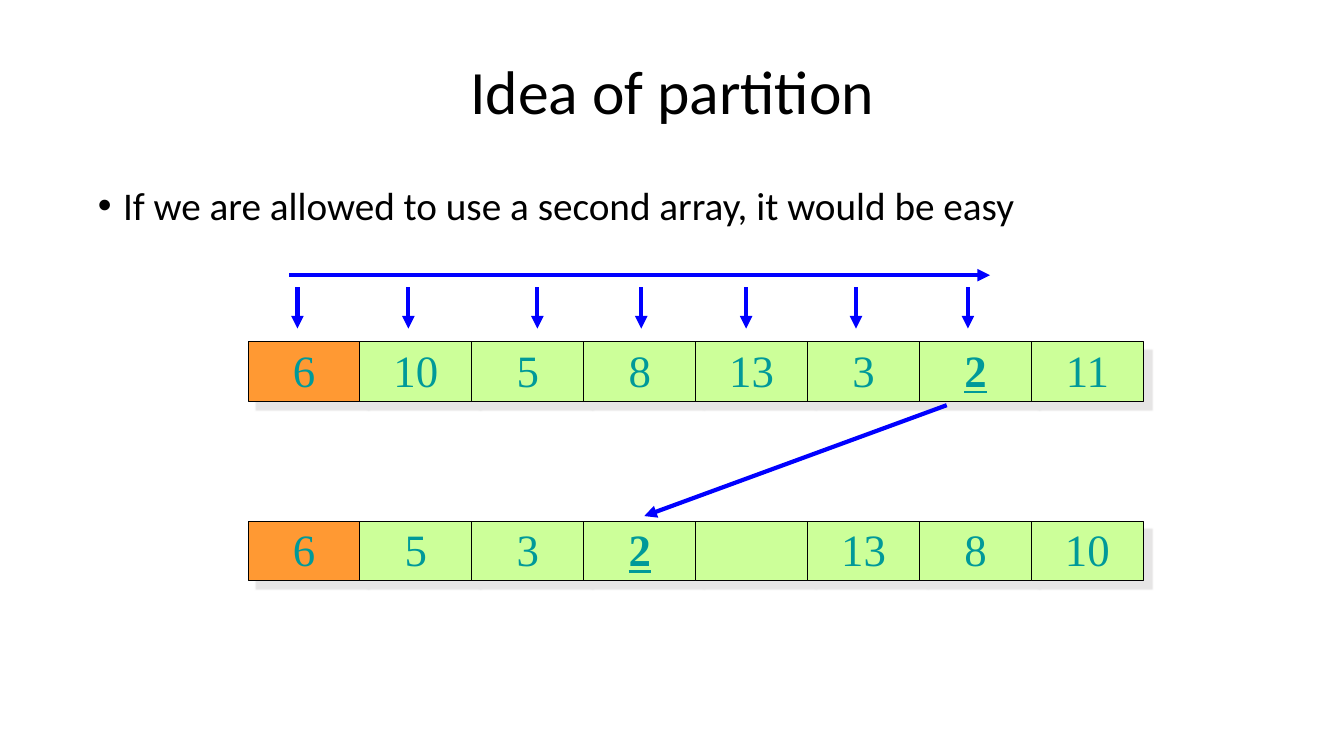
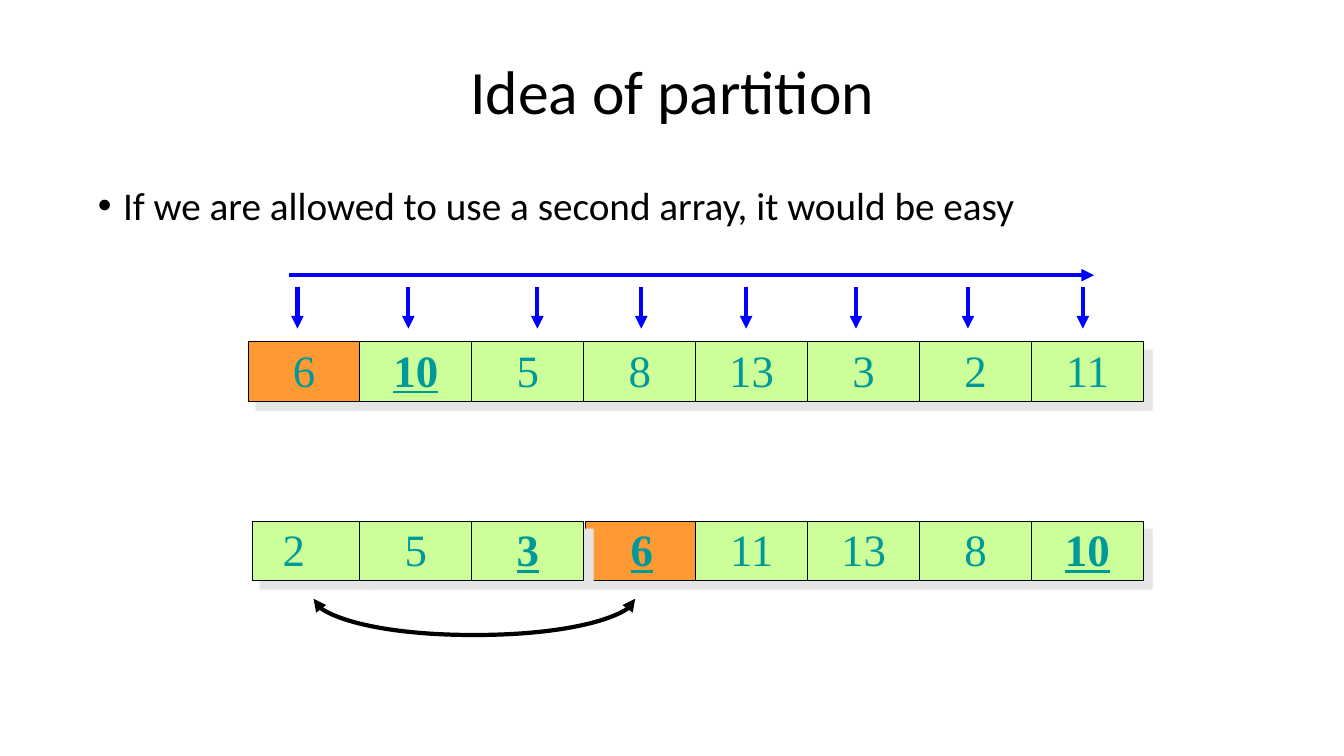
"""Build two slides on partitioning with a second array."""
from dataclasses import dataclass
from typing import Any

from lxml import etree
from pptx import Presentation
from pptx.dml.color import RGBColor
from pptx.enum.shapes import MSO_CONNECTOR, MSO_SHAPE
from pptx.enum.text import MSO_ANCHOR, MSO_AUTO_SIZE, PP_ALIGN
from pptx.oxml import parse_xml
from pptx.oxml.ns import nsdecls, qn
from pptx.util import Inches, Pt

LINE = MSO_CONNECTOR.STRAIGHT
RECT = MSO_SHAPE.RECTANGLE
TOP, MIDDLE, BOTTOM = MSO_ANCHOR.TOP, MSO_ANCHOR.MIDDLE, MSO_ANCHOR.BOTTOM
FIXED = MSO_AUTO_SIZE.NONE
LEFT, CENTER = PP_ALIGN.LEFT, PP_ALIGN.CENTER

BLACK = RGBColor(0x00, 0x00, 0x00)
BLUE = RGBColor(0x00, 0x00, 0xFF)
TEAL = RGBColor(0x00, 0x99, 0x99)
GREEN = RGBColor(0xCC, 0xFF, 0x99)
ORANGE = RGBColor(0xFF, 0x99, 0x33)
GREY = RGBColor(0xE7, 0xE6, 0xE6)

INSET = Inches(0.05)
ROW_X, CELL_W, CELL_H = 2.46, 1.11, 0.59
ROW_A, ROW_B = 3.39, 5.17
SCAN_Y, TICK_Y, TICK_END = 2.73, 2.85, 3.26
TICKS = (2.95, 4.05, 5.33, 6.36, 7.4, 8.49, 9.6, 10.74)

FRAME = dict(margin_left=INSET, margin_right=INSET, margin_top=INSET,
             margin_bottom=INSET, word_wrap=True, auto_size=FIXED)
HEAD = dict(name="Calibri", size=Pt(44))
BODY = dict(name="Calibri", size=Pt(28))
DIGIT = dict(name="Times New Roman", size=Pt(32))
MARK = dict(bold=True, underline=True)

Point = tuple[float, float]


@dataclass(frozen=True)
class Cell:
    """One array slot, with small shifts of its box and its text."""
    text: str
    hot: bool = False
    mark: bool = False
    shift: float = 0
    pad: float = 0


@dataclass(frozen=True)
class Arrow:
    """A straight arrow between two points."""
    start: Point
    end: Point


@dataclass(frozen=True)
class Step:
    """The state of both arrays on one slide."""
    source: list[Cell]
    target: list[Cell]
    ticks: int
    scan: float
    moves: tuple[Arrow, ...] = ()
    swap: tuple[Point, ...] = ()


def apply(thing: Any, values: dict) -> None:
    """Set each named attribute."""
    for name, value in values.items():
        setattr(thing, name, value)


def write(shape: Any, text: str, font: dict, ink: RGBColor,
          align: PP_ALIGN, anchor: MSO_ANCHOR) -> Any:
    """Fill a shape with one line of text and return its paragraph."""
    frame = shape.text_frame
    apply(frame, FRAME | dict(vertical_anchor=anchor))
    para = frame.paragraphs[0]
    para.alignment = align
    run = para.add_run()
    run.text = text
    apply(run.font, font)
    run.font.color.rgb = ink
    return para


def place(shape: Any, left: float, top: float, width: float, height: float) -> None:
    """Move and size a shape in inches."""
    apply(shape, dict(left=Inches(left), top=Inches(top),
                      width=Inches(width), height=Inches(height)))


def add_head(slide: Any) -> None:
    """Write the shared title and bullet."""
    title, body = slide.shapes.title, slide.placeholders[1]
    place(title, 0.92, 0.4, 11.5, 1.07)
    para = write(title, "Idea of partition", HEAD, BLACK, CENTER, MIDDLE)
    apply(para, dict(line_spacing=0.9, space_before=Pt(0)))
    place(body, 0.92, 1.8, 11.5, 0.6)
    para = write(body, "If we are allowed to use a second array, it would be easy",
                 BODY, BLACK, LEFT, TOP)
    apply(para, dict(line_spacing=0.9, space_before=Pt(10)))
    props = para._p.get_or_add_pPr()
    props.set("marL", str(Inches(0.25)))
    props.set("indent", str(-Inches(0.25)))
    etree.SubElement(props, qn("a:buChar")).set("char", "•")


def add_cell(slide: Any, cell: Cell, left: float, top: float) -> None:
    """Draw one slot with its hard shadow."""
    box = slide.shapes.add_shape(RECT, Inches(left + cell.shift), Inches(top),
                                 Inches(CELL_W), Inches(CELL_H))
    box.fill.solid()
    box.fill.fore_color.rgb = ORANGE if cell.hot else GREEN
    box.line.color.rgb = BLACK
    box.line.width = Pt(0.75)
    box.shadow.inherit = False
    box.element.spPr.find(qn("a:effectLst")).append(parse_xml(
        f'<a:outerShdw {nsdecls("a")} blurRad="{Pt(1)}" dist="{Pt(8.5)}" '
        f'dir="2700000" algn="ctr" rotWithShape="0">'
        f'<a:srgbClr val="{GREY}"/></a:outerShdw>'))
    if cell.text:
        font = DIGIT | MARK if cell.mark else DIGIT
        write(box, cell.text, font, TEAL, CENTER, BOTTOM)
        box.text_frame.margin_right = INSET + Inches(cell.pad)


def add_row(slide: Any, cells: list[Cell], top: float) -> None:
    """Draw an array, with the pivot behind its neighbours."""
    order = sorted(enumerate(cells), key=lambda pair: not pair[1].hot)
    for index, cell in order:
        add_cell(slide, cell, ROW_X + index * CELL_W, top)


def ink_line(shape: Any, color: RGBColor, *ends: str) -> None:
    """Style a line and add its arrowheads."""
    shape.line.color.rgb = color
    shape.line.width = Pt(3)
    line = shape.element.spPr.find(qn("a:ln"))
    for end in ends:
        etree.SubElement(line, qn(f"a:{end}")).set("type", "triangle")


def add_arrow(slide: Any, arrow: Arrow) -> None:
    """Draw a straight blue arrow."""
    points = [Inches(value) for value in arrow.start + arrow.end]
    line = slide.shapes.add_connector(LINE, *points)
    ink_line(line, BLUE, "tailEnd")
    etree.SubElement(line.element.spPr, qn("a:effectLst"))


def add_curve(slide: Any, points: tuple[Point, ...]) -> None:
    """Draw a double arrow along cubic curves, three points to each."""
    first, *rest = [(Inches(x), Inches(y)) for x, y in points]
    maker = slide.shapes.build_freeform(*first)
    maker.add_line_segments(rest, close=False)
    curve = maker.convert_to_shape()
    curve.fill.background()
    curve.shadow.inherit = False
    ink_line(curve, BLACK, "headEnd", "tailEnd")
    route = next(curve.element.iter(qn("a:path")))
    legs = route.findall(qn("a:lnTo"))
    for index in range(0, len(legs), 3):
        bend = etree.SubElement(route, qn("a:cubicBezTo"))
        for leg in legs[index:index + 3]:
            bend.append(leg[0])
            route.remove(leg)


def add_step(deck: Any, step: Step) -> None:
    """Add one slide."""
    slide = deck.slides.add_slide(deck.slide_layouts[1])
    add_head(slide)
    add_row(slide, step.source, ROW_A)
    add_row(slide, step.target, ROW_B)
    scan = Arrow((2.87, SCAN_Y), (step.scan, SCAN_Y))
    ticks = [Arrow((x, TICK_Y), (x, TICK_END)) for x in TICKS[:step.ticks]]
    for arrow in (scan, *ticks, *step.moves):
        add_arrow(slide, arrow)
    if step.swap:
        add_curve(slide, step.swap)


def cells(texts: str, mark: tuple[int, ...], hot: int = 0) -> list[Cell]:
    """Make slots from comma-separated values."""
    return [Cell(text, index == hot, index in mark)
            for index, text in enumerate(texts.split(","))]


SOURCE = "6,10,5,8,13,3,2,11"
FINAL = cells("2,5,3,6,11,13,8,10", (2, 3, 7), 3)
FINAL[0] = Cell("2", shift=0.04, pad=0.28)
FINAL[3] = Cell("6", hot=True, mark=True, shift=0.02)
STEPS = (
    Step(cells(SOURCE, (6,)), cells("6,5,3,2,,13,8,10", (3,)), 7, 9.82,
         moves=(Arrow((9.39, 4.02), (6.39, 5.12)),)),
    Step(cells(SOURCE, (1,)), FINAL, 8, 10.85,
         swap=((3.11, 5.94), (3.11, 6.12), (3.91, 6.3), (4.7, 6.3),
               (5.5, 6.3), (6.3, 6.12), (6.3, 5.94))),
)


def main() -> None:
    """Build and save the deck."""
    deck = Presentation()
    apply(deck, dict(slide_width=Inches(13.33), slide_height=Inches(7.5)))
    for step in STEPS:
        add_step(deck, step)
    deck.save("out.pptx")


if __name__ == "__main__":
    main()
